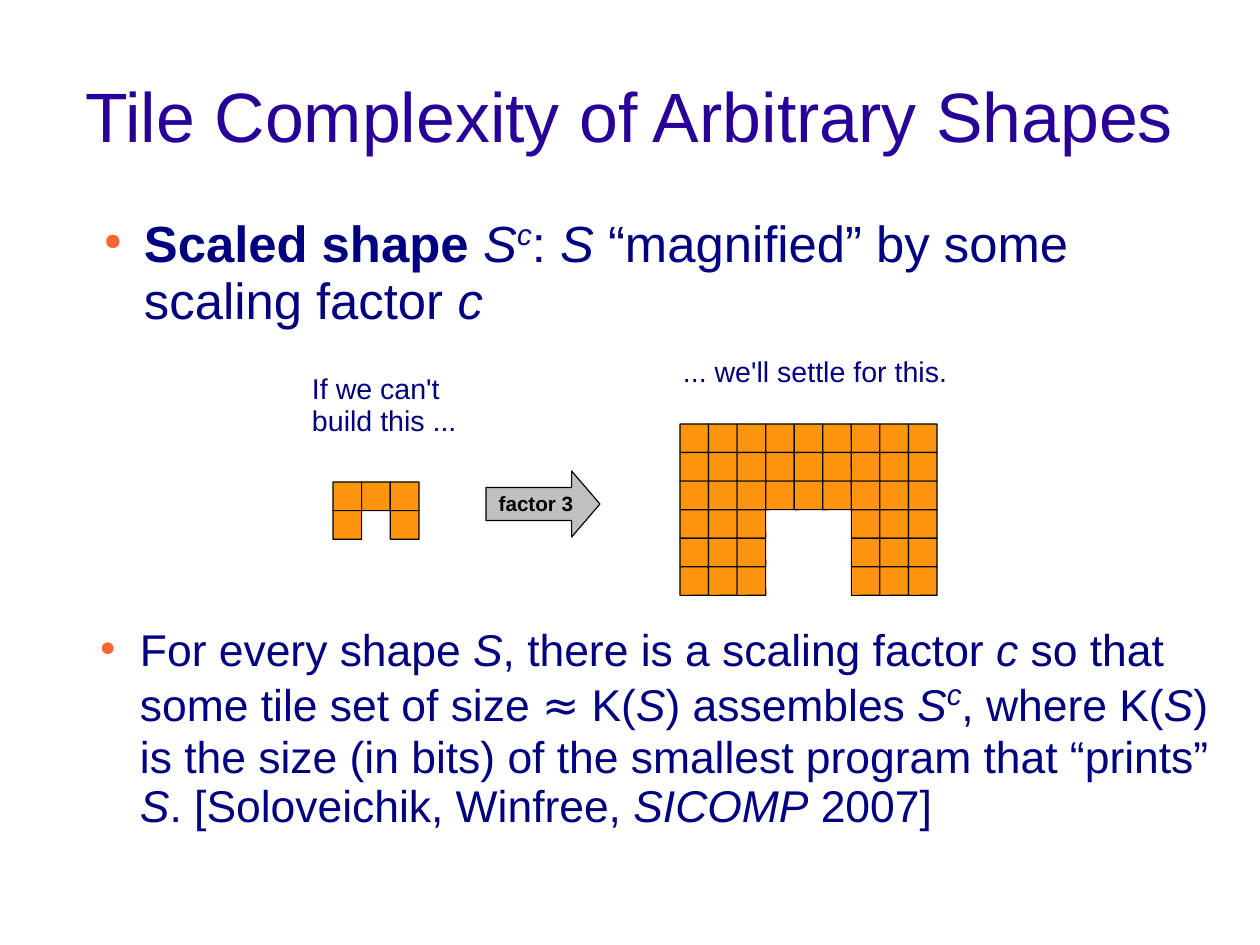
from lxml import etree
from pptx import Presentation
from pptx.dml.color import RGBColor
from pptx.enum.shapes import MSO_SHAPE
from pptx.enum.text import MSO_ANCHOR, PP_ALIGN
from pptx.oxml.ns import qn
from pptx.util import Emu, Pt

TILE_SHAPE = MSO_SHAPE.ROUNDED_RECTANGLE
ARROW_SHAPE = MSO_SHAPE.RIGHT_ARROW
TOP, MIDDLE = MSO_ANCHOR.TOP, MSO_ANCHOR.MIDDLE
LEFT, CENTER = PP_ALIGN.LEFT, PP_ALIGN.CENTER

EMU_PER_PX = 8000
FACTOR = 3
SUPERSCRIPT_SIZE = 32
TITLE_COLOR, NAVY, BULLET = "280099", "000080", "FF6633"
ORANGE, GRAY, BLACK = "FF950E", "C0C0C0", "000000"
LABEL_INSETS = (11, 8, 11, 6)

SMALL_SHAPE = ["###", "#.#"]
SCALED_TEXT = [
    ("Scaled shape ", "bold"), ("S", "italic"), ("c", "super"), (": ", ""),
    ("S", "italic"), (" “magnified” by some scaling factor ", ""), ("c", "italic"),
]
THEOREM_TEXT = [
    ("For every shape ", ""), ("S", "italic"), (", there is a scaling factor ", ""),
    ("c", "italic"), (" so that some tile set of size ", ""), ("≈", "symbol"),
    (" K(", ""), ("S", "italic"), (") assembles ", ""), ("S", "italic"),
    ("c", "super"), (", where K(", ""), ("S", "italic"),
    (") is the size (in bits) of the smallest program that “prints” ", ""),
    ("S", "italic"), (". [Soloveichik, Winfree, ", ""), ("SICOMP", "italic"),
    (" 2007]", ""),
]


def px(length):
    """Turn a length in px into EMU."""
    return Emu(round(length * EMU_PER_PX))


def color(value):
    """Turn a hex string into a colour."""
    return RGBColor.from_string(value)


def set_frame(shape, insets, anchor=TOP, wrap=True):
    """Set the margins, anchor and wrapping of a shape's text."""
    frame = shape.text_frame
    frame.word_wrap = wrap
    frame.vertical_anchor = anchor
    (frame.margin_left, frame.margin_top,
     frame.margin_right, frame.margin_bottom) = map(px, insets)
    return frame


def write_line(frame, text, size, hex_color, align=LEFT, bold=False):
    """Write one paragraph in a single style."""
    frame.text = text
    para = frame.paragraphs[0]
    para.alignment = align
    para.line_spacing = 0.93
    font = para.runs[0].font
    font.name, font.size, font.bold = "Arial", Pt(size), bold
    font.color.rgb = color(hex_color)


def add_label(page, area, text, size, hex_color, insets, anchor=TOP, align=LEFT):
    """Add a text box with one plain paragraph."""
    box = page.shapes.add_textbox(*map(px, area))
    write_line(set_frame(box, insets, anchor), text, size, hex_color, align)


def set_bullet(para):
    """Give a paragraph a small coloured bullet and a hanging indent."""
    properties = para._p.get_or_add_pPr()
    properties.set("marL", str(px(54)))
    properties.set("indent", str(px(-40)))
    bullet_color = etree.SubElement(properties, qn("a:buClr"))
    etree.SubElement(bullet_color, qn("a:srgbClr"), val=BULLET)
    etree.SubElement(properties, qn("a:buSzPct"), val="45000")
    etree.SubElement(properties, qn("a:buChar"), char="●")


def add_bullet_text(page, area, spans, size):
    """Add a bulleted paragraph of mixed styles."""
    box = page.shapes.add_textbox(*map(px, area))
    para = set_frame(box, (0, 3, 0, 0)).paragraphs[0]
    set_bullet(para)
    para.line_spacing = 0.93
    para.space_after = Pt(14.3)
    for text, style in spans:
        span = para.add_run()
        span.text = text
        font = span.font
        font.name = "Cabin" if style == "symbol" else "Arial"
        font.size = Pt(SUPERSCRIPT_SIZE if style == "super" else size)
        font.bold = style == "bold"
        font.italic = style in ("italic", "super", "symbol")
        font.color.rgb = color(NAVY)
        if style == "symbol":
            font.italic = False
        if style == "super":
            span._r.get_or_add_rPr().set("baseline", "33000")


def add_outlined(page, kind, area, fill, adjustments):
    """Add a filled preset shape with a thin black outline."""
    shape = page.shapes.add_shape(kind, *map(px, area))
    shape.shadow.inherit = False
    shape.fill.solid()
    shape.fill.fore_color.rgb = color(fill)
    shape.line.color.rgb = color(BLACK)
    shape.line.width = Pt(0.75)
    for index, value in enumerate(adjustments):
        shape.adjustments[index] = value
    return shape


def magnify(pattern, factor):
    """Replace every tile of a pattern by a square of tiles."""
    return ["".join(mark * factor for mark in row)
            for row in pattern for _ in range(factor)]


def add_tiles(page, left, top, width, pattern):
    """Draw a pattern of square tiles that fills the given width."""
    side = width / len(pattern[0])
    for row, marks in enumerate(pattern):
        for column, mark in enumerate(marks):
            if mark == "#":
                area = (left + column * side, top + row * side, side, side)
                add_outlined(page, TILE_SHAPE, area, ORANGE, [0.01])


def add_factor_arrow(page, area):
    """Add the arrow that names the scaling factor."""
    arrow = add_outlined(page, ARROW_SHAPE, area, GRAY, [0.5, 0.43])
    frame = set_frame(arrow, (11, 7, 11, 6), MIDDLE, wrap=False)
    write_line(frame, f"factor {FACTOR}", 13, BLACK, CENTER, bold=True)


def main():
    """Build the slide and save it."""
    deck = Presentation()
    deck.slide_width, deck.slide_height = px(1260), px(945)
    page = deck.slides.add_slide(deck.slide_layouts[6])
    add_label(page, (63, 38, 1134, 158), "Tile Complexity of Arbitrary Shapes",
              44, TITLE_COLOR, (0, 5, 0, 0), MIDDLE, CENTER)
    add_bullet_text(page, (90, 214, 1106, 138), SCALED_TEXT, 32)
    add_tiles(page, 333, 482, 86, SMALL_SHAPE)
    add_factor_arrow(page, (486, 471, 114, 66))
    add_tiles(page, 680, 424, 257, magnify(SMALL_SHAPE, FACTOR))
    add_label(page, (301, 366, 201, 75), "If we can't build this ...",
              18, NAVY, LABEL_INSETS)
    add_label(page, (672, 349, 296, 43), "... we'll settle for this.",
              18, NAVY, LABEL_INSETS)
    add_bullet_text(page, (86, 624, 1129, 207), THEOREM_TEXT, 28)
    deck.save("out.pptx")


if __name__ == "__main__":
    main()
